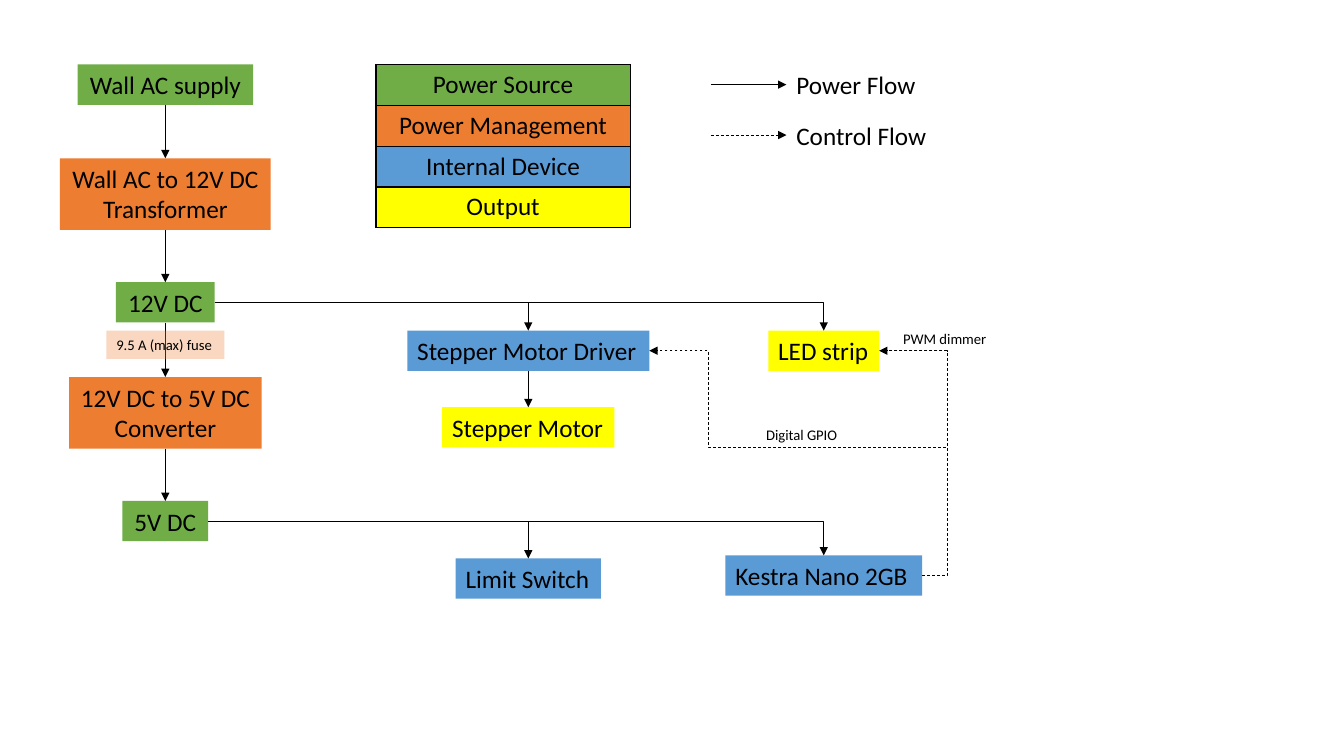
from dataclasses import dataclass
from typing import Optional, Union

from lxml.etree import SubElement
from pptx import Presentation
from pptx.dml.color import RGBColor
from pptx.enum.dml import MSO_LINE
from pptx.enum.shapes import MSO_CONNECTOR
from pptx.enum.text import MSO_AUTO_SIZE, PP_ALIGN
from pptx.oxml.ns import qn
from pptx.shapes.autoshape import Shape
from pptx.slide import Slide
from pptx.table import _Cell
from pptx.text.text import TextFrame
from pptx.util import Inches, Pt

BLACK = RGBColor(0x00, 0x00, 0x00)
SOURCE_GREEN = RGBColor(0x70, 0xAD, 0x47)
MANAGEMENT_ORANGE = RGBColor(0xED, 0x7D, 0x31)
DEVICE_BLUE = RGBColor(0x5B, 0x9B, 0xD5)
OUTPUT_YELLOW = RGBColor(0xFF, 0xFF, 0x00)

SUPPLY_X, MOTOR_X, CONTROL_X = 1.64, 5.24, 8.17
TOP, LEFT, BOTTOM, RIGHT = range(4)

Anchor = Union[tuple[str, int], tuple[float, float]]


@dataclass(frozen=True)
class Box:
    """A text box placed by its horizontal centre and top, in inches."""

    text: str
    center: float
    top: float
    width: float
    height: float = 0.4
    fill: Optional[RGBColor] = None
    opacity: int = 100
    size: float = 18
    centered: bool = False


@dataclass(frozen=True)
class Flow:
    """An arrow between two anchors: a box side or a point."""

    start: Anchor
    end: Anchor
    preset: str = "line"
    bend: Optional[float] = None
    dashed: bool = False


BOXES = [
    Box("Wall AC supply", SUPPLY_X, 0.64, 1.74, fill=SOURCE_GREEN, centered=True),
    Box("Wall AC to 12V DC Transformer", SUPPLY_X, 1.57, 2.09, 0.71, MANAGEMENT_ORANGE, centered=True),
    Box("12V DC", SUPPLY_X, 2.8, 0.98, fill=SOURCE_GREEN, centered=True),
    Box("12V DC to 5V DC Converter", SUPPLY_X, 3.74, 1.91, 0.71, MANAGEMENT_ORANGE, centered=True),
    Box("5V DC", SUPPLY_X, 4.97, 0.85, fill=SOURCE_GREEN, centered=True),
    Box("Stepper Motor Driver", MOTOR_X, 3.28, 2.4, fill=DEVICE_BLUE),
    Box("Stepper Motor", MOTOR_X, 4.04, 1.71, fill=OUTPUT_YELLOW),
    Box("Limit Switch", MOTOR_X, 5.54, 1.44, fill=DEVICE_BLUE),
    Box("LED strip", CONTROL_X, 3.28, 1.1, fill=OUTPUT_YELLOW),
    Box("Kestra Nano 2GB", CONTROL_X, 5.51, 1.95, fill=DEVICE_BLUE),
]

LABELS = [
    Box("9.5 A (max) fuse", SUPPLY_X, 3.28, 1.17, 0.28, MANAGEMENT_ORANGE, 30, 10.5),
    Box("PWM dimmer", 9.38, 3.22, 1.04, 0.28, size=10.5),
    Box("Digital GPIO", 7.96, 4.18, 0.92, 0.28, size=10.5),
    Box("Power Flow", 8.5, 0.64, 1.4),
    Box("Control Flow", 8.55, 1.14, 1.5),
]

SUPPLY_CHAIN = [box.text for box in BOXES[:5]]

FLOWS = [
    *(Flow((upper, BOTTOM), (lower, TOP)) for upper, lower in zip(SUPPLY_CHAIN, SUPPLY_CHAIN[1:])),
    Flow(("Stepper Motor Driver", BOTTOM), ("Stepper Motor", TOP)),
    Flow(("12V DC", RIGHT), ("LED strip", TOP), "bentConnector2"),
    Flow((MOTOR_X, 3.0), ("Stepper Motor Driver", TOP)),
    Flow(("5V DC", RIGHT), ("Kestra Nano 2GB", TOP), "bentConnector2"),
    Flow((MOTOR_X, 5.17), ("Limit Switch", TOP)),
    Flow(("Kestra Nano 2GB", RIGHT), ("LED strip", RIGHT), "bentConnector3", -0.59, True),
    Flow((9.38, 4.44), ("Stepper Motor Driver", RIGHT), "bentConnector3", 0.8, True),
    Flow((7.05, 0.84), (7.8, 0.84)),
    Flow((7.05, 1.34), (7.8, 1.34), dashed=True),
]

LEGEND = [
    ("Power Source", SOURCE_GREEN),
    ("Power Management", MANAGEMENT_ORANGE),
    ("Internal Device", DEVICE_BLUE),
    ("Output", OUTPUT_YELLOW),
]


def write_text(frame: TextFrame, text: str, size: float, alignment: PP_ALIGN) -> None:
    """Write one formatted run into the first paragraph."""
    paragraph = frame.paragraphs[0]
    paragraph.alignment = alignment
    run = paragraph.add_run()
    run.text = text
    run.font.name = "Calibri"
    run.font.size = Pt(size)
    run.font.color.rgb = BLACK


def draw_box(slide: Slide, box: Box) -> Shape:
    """Draw a box and return its shape."""
    shape = slide.shapes.add_textbox(
        Inches(box.center - box.width / 2), Inches(box.top), Inches(box.width), Inches(box.height)
    )
    shape.text_frame.word_wrap = box.centered
    shape.text_frame.auto_size = MSO_AUTO_SIZE.SHAPE_TO_FIT_TEXT
    write_text(shape.text_frame, box.text, box.size, PP_ALIGN.CENTER if box.centered else PP_ALIGN.LEFT)
    if box.fill is not None:
        shape.fill.solid()
        shape.fill.fore_color.rgb = box.fill
    if box.opacity < 100:
        color = shape.element.spPr.find(f".//{qn('a:srgbClr')}")
        SubElement(color, qn("a:alpha"), val=str(box.opacity * 1000))
    return shape


def locate(anchor: Anchor, shapes: dict[str, Shape]) -> tuple[int, int]:
    """Return the position of an anchor on the slide."""
    if anchor[0] not in shapes:
        return Inches(anchor[0]), Inches(anchor[1])
    shape, side = shapes[anchor[0]], anchor[1]
    across = {LEFT: 0, RIGHT: shape.width}.get(side, shape.width // 2)
    down = {TOP: 0, BOTTOM: shape.height}.get(side, shape.height // 2)
    return shape.left + across, shape.top + down


def draw_flow(slide: Slide, flow: Flow, shapes: dict[str, Shape]) -> None:
    """Draw an arrow and attach it to the boxes it names."""
    kind = MSO_CONNECTOR.STRAIGHT if flow.preset == "line" else MSO_CONNECTOR.ELBOW
    connector = slide.shapes.add_connector(kind, *locate(flow.start, shapes), *locate(flow.end, shapes))
    if flow.start[0] in shapes:
        connector.begin_connect(shapes[flow.start[0]], flow.start[1])
    if flow.end[0] in shapes:
        connector.end_connect(shapes[flow.end[0]], flow.end[1])
    connector.line.color.rgb = BLACK
    connector.line.width = Pt(0.5)
    if flow.dashed:
        connector.line.dash_style = MSO_LINE.DASH
    properties = connector.element.spPr
    geometry = properties.find(qn("a:prstGeom"))
    geometry.set("prst", flow.preset)
    if flow.bend is not None:
        formula = f"val {round(flow.bend * 100000)}"
        SubElement(geometry.find(qn("a:avLst")), qn("a:gd"), name="adj1", fmla=formula)
    SubElement(properties.find(qn("a:ln")), qn("a:tailEnd"), type="triangle")
    SubElement(properties, qn("a:effectLst"))


def border_cell(cell: _Cell) -> None:
    """Give a cell a thin black border on every side."""
    properties = cell._tc.get_or_add_tcPr()
    for index, side in enumerate(("lnL", "lnR", "lnT", "lnB")):
        line = SubElement(properties, qn(f"a:{side}"), w=str(Pt(1)))
        fill = SubElement(line, qn("a:solidFill"))
        SubElement(fill, qn("a:srgbClr"), val=str(BLACK))
        properties.insert(index, line)


def draw_legend(slide: Slide) -> None:
    """Draw the colour legend as a one-column table."""
    frame = slide.shapes.add_table(len(LEGEND), 1, Inches(3.73), Inches(0.64), Inches(2.52), Inches(1.62))
    table = frame.table
    table.first_row = False
    table.horz_banding = False
    for row, (text, color) in enumerate(LEGEND):
        cell = table.cell(row, 0)
        write_text(cell.text_frame, text, 18, PP_ALIGN.CENTER)
        cell.fill.solid()
        cell.fill.fore_color.rgb = color
        border_cell(cell)


def main() -> None:
    """Build the power and control flow slide."""
    presentation = Presentation()
    presentation.slide_width = Inches(13.33)
    presentation.slide_height = Inches(7.5)
    slide = presentation.slides.add_slide(presentation.slide_layouts[6])
    shapes = {box.text: draw_box(slide, box) for box in BOXES}
    for flow in FLOWS:
        draw_flow(slide, flow, shapes)
    draw_legend(slide)
    for label in LABELS:
        draw_box(slide, label)
    presentation.save("out.pptx")


if __name__ == "__main__":
    main()
